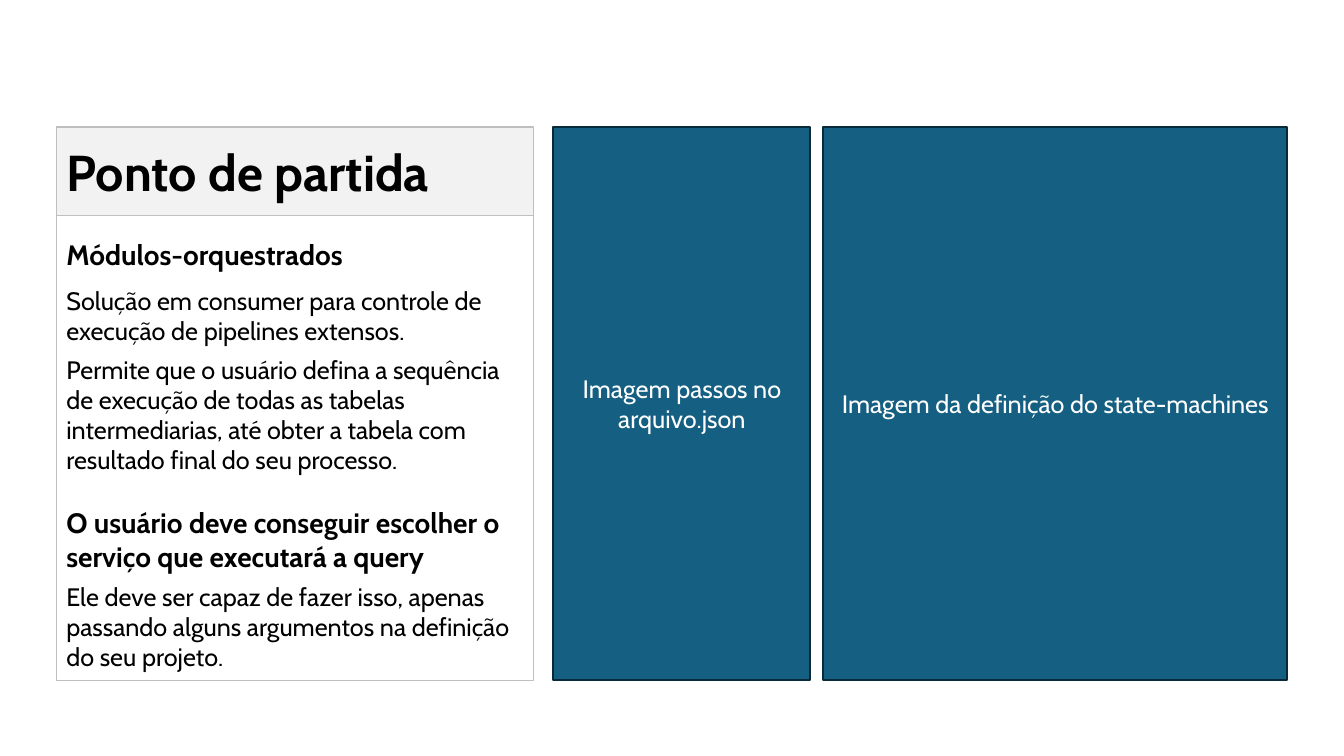
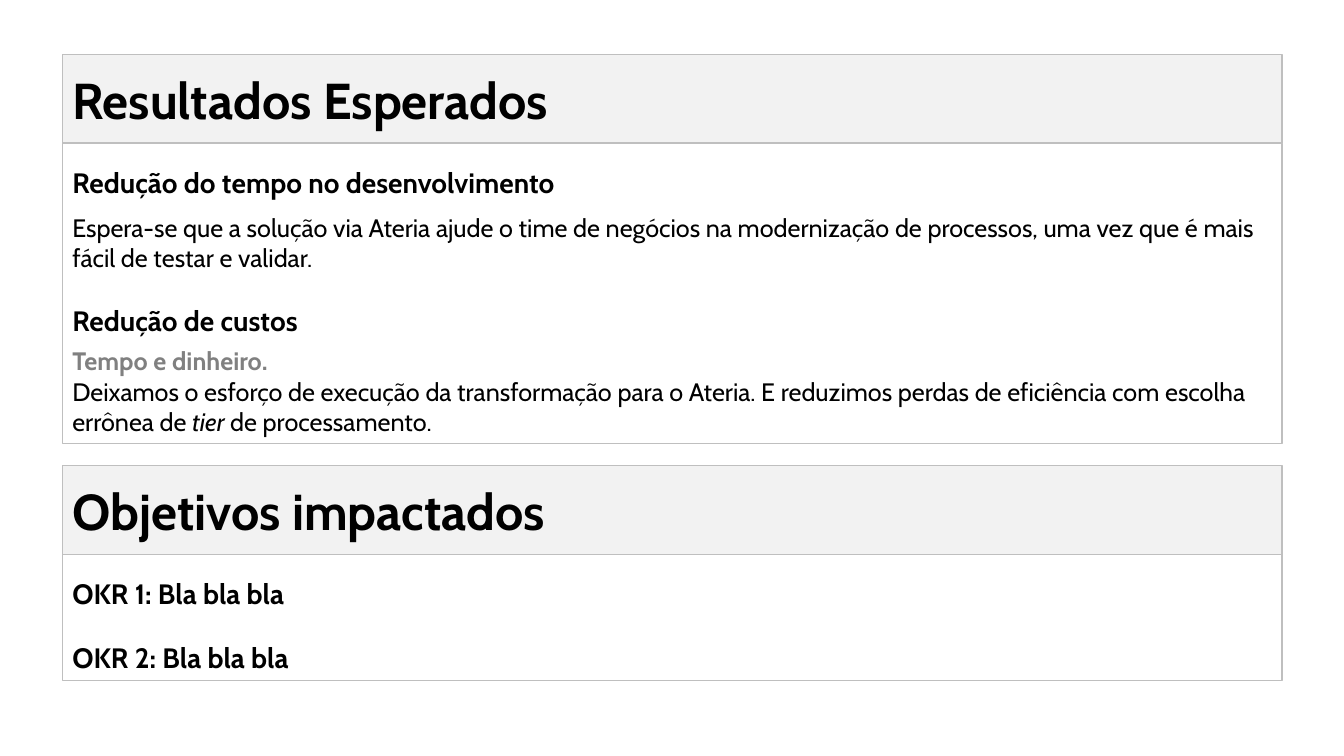
from pptx import Presentation
from pptx.dml.color import RGBColor
from pptx.enum.shapes import MSO_SHAPE
from pptx.enum.text import MSO_ANCHOR, PP_ALIGN
from pptx.util import Pt

# Shared style
FONT = "Cabin"
BLACK, WHITE, GREY = "000000", "FFFFFF", "808080"
BAND_FILL, BORDER = "F2F2F2", "BFBFBF"
PANEL_FILL, PANEL_BORDER = "156082", "092A39"
TITLE_SIZE, HEADING_SIZE, BODY_SIZE = 36, 20, 18
BAND_HEIGHT = 63.4
BODY_INSET = 15.75
SMALL_GAP, MEDIUM_GAP, LARGE_GAP = 6, 9.7, 21.9


def color(hex_value):
    return RGBColor.from_string(hex_value)


def add_text(paragraph, text, size=BODY_SIZE, bold=False, italic=False, fill=BLACK):
    run = paragraph.add_run()
    run.text = text
    font = run.font
    font.name, font.size = FONT, Pt(size)
    font.bold, font.italic = bold, italic
    font.color.rgb = color(fill)


def add_box(slide, box, fill=None, border=BORDER, border_width=1,
            anchor=MSO_ANCHOR.MIDDLE, align=PP_ALIGN.LEFT):
    """Draw a rectangle and return its text frame."""
    shape = slide.shapes.add_shape(MSO_SHAPE.RECTANGLE, *map(Pt, box))
    shape.shadow.inherit = False
    if fill:
        shape.fill.solid()
        shape.fill.fore_color.rgb = color(fill)
    else:
        shape.fill.background()
    shape.line.color.rgb = color(border)
    shape.line.width = Pt(border_width)
    frame = shape.text_frame
    frame.word_wrap = True
    frame.vertical_anchor = anchor
    frame.paragraphs[0].alignment = align
    return frame


def heading(text, gap=0):
    return gap, [(text, {"size": HEADING_SIZE, "bold": True})]


def body(text, gap=0, **style):
    return gap, [(text, style)]


def add_card(slide, box, title, entries):
    """Title band above a bordered body; entries are (gap before, runs)."""
    left, top, width, height = box
    band = add_box(slide, (left, top, width, BAND_HEIGHT), fill=BAND_FILL)
    add_text(band.paragraphs[0], title, size=TITLE_SIZE, bold=True)

    body_box = (left, top + BAND_HEIGHT, width, height - BAND_HEIGHT)
    frame = add_box(slide, body_box, anchor=MSO_ANCHOR.TOP)
    frame.margin_top = Pt(BODY_INSET)
    for index, (gap, runs) in enumerate(entries):
        paragraph = frame.add_paragraph() if index else frame.paragraphs[0]
        paragraph.alignment = PP_ALIGN.LEFT
        paragraph.space_before = Pt(gap)
        for text, style in runs:
            add_text(paragraph, text, **style)


def add_panel(slide, box, label):
    frame = add_box(slide, box, PANEL_FILL, PANEL_BORDER, 1.5, align=PP_ALIGN.CENTER)
    add_text(frame.paragraphs[0], label, fill=WHITE)


def build_starting_point(slide):
    top, height = 90.7, 395.3
    add_card(slide, (40.3, top, 340.6, height), "Ponto de partida", [
        heading("Módulos-orquestrados"),
        body("Solução em consumer para controle de execução de pipelines extensos.",
             MEDIUM_GAP),
        body("Permite que o usuário defina a sequência de execução de todas as tabelas "
             "intermediarias, até obter a tabela com resultado final do seu processo.",
             SMALL_GAP),
        heading("O usuário deve conseguir escolher o serviço que executará a query",
                LARGE_GAP),
        body("Ele deve ser capaz de fazer isso, apenas passando alguns argumentos "
             "na definição do seu projeto.", SMALL_GAP),
    ])
    add_panel(slide, (395.3, top, 183.6, height), "Imagem passos no arquivo.json")
    add_panel(slide, (588.2, top, 331.2, height),
              "Imagem da definição do state-machines")


def build_results(slide):
    left, width = 44.6, 871.2
    add_card(slide, (left, 38.9, width, 277.9), "Resultados Esperados", [
        heading("Redução do tempo no desenvolvimento"),
        body("Espera-se que a solução via Ateria ajude o time de negócios na modernização "
             "de processos, uma vez que é mais fácil de testar e validar.", MEDIUM_GAP),
        heading("Redução de custos", LARGE_GAP),
        body("Tempo e dinheiro.", SMALL_GAP, bold=True, fill=GREY),
        (0, [
            ("Deixamos o esforço de execução da transformação para o Ateria. E reduzimos "
             "perdas de eficiência com escolha errônea de ", {}),
            ("tier", {"italic": True}),
            (" de processamento.", {}),
        ]),
    ])
    add_card(slide, (left, 332.6, width, 153.4), "Objetivos impactados", [
        heading("OKR 1: Bla bla bla"),
        heading("OKR 2: Bla bla bla", LARGE_GAP),
    ])


def main():
    presentation = Presentation()
    presentation.slide_width, presentation.slide_height = Pt(960), Pt(540)
    blank_layout = presentation.slide_layouts[6]
    for build in (build_starting_point, build_results):
        build(presentation.slides.add_slide(blank_layout))
    presentation.save("out.pptx")


if __name__ == "__main__":
    main()
